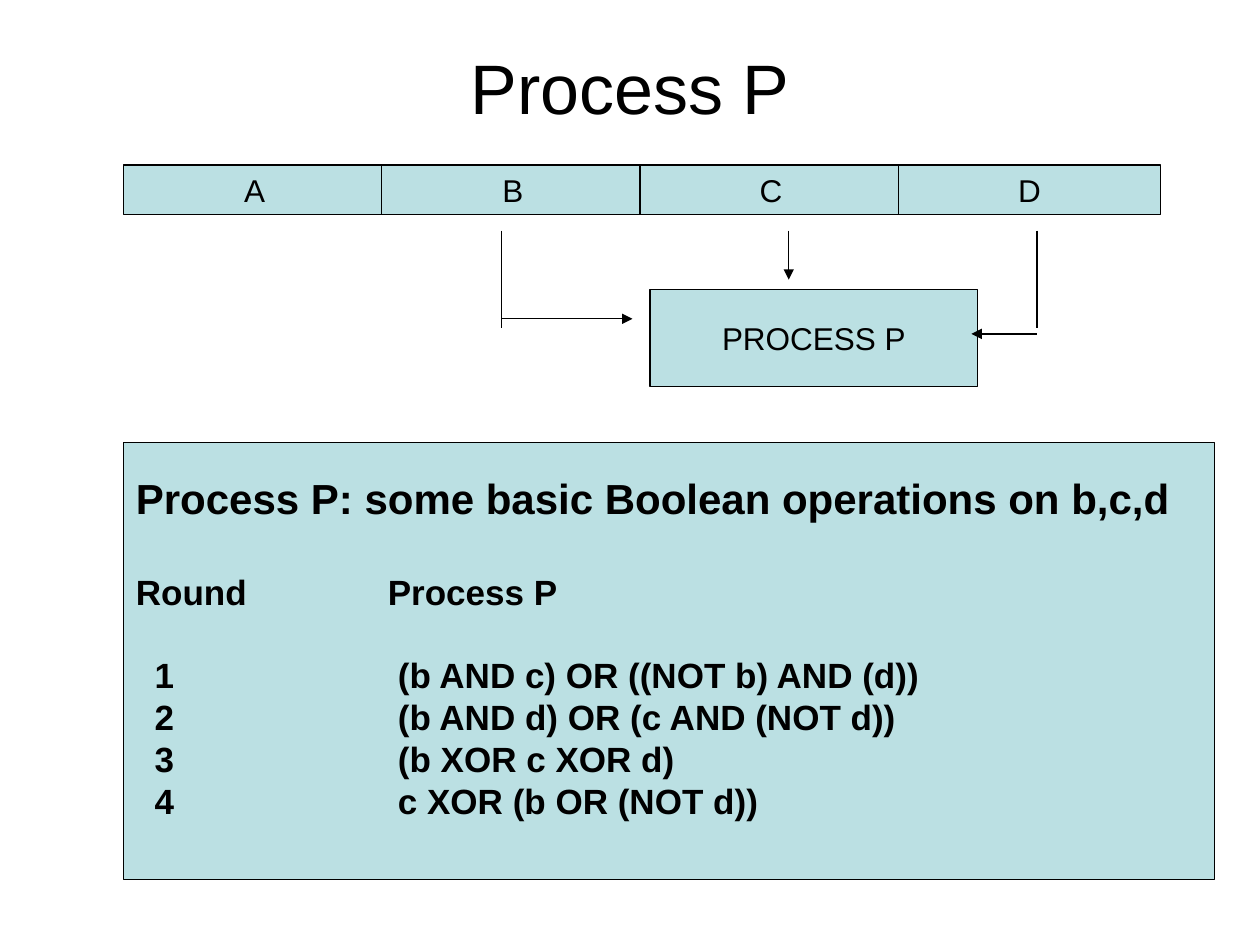
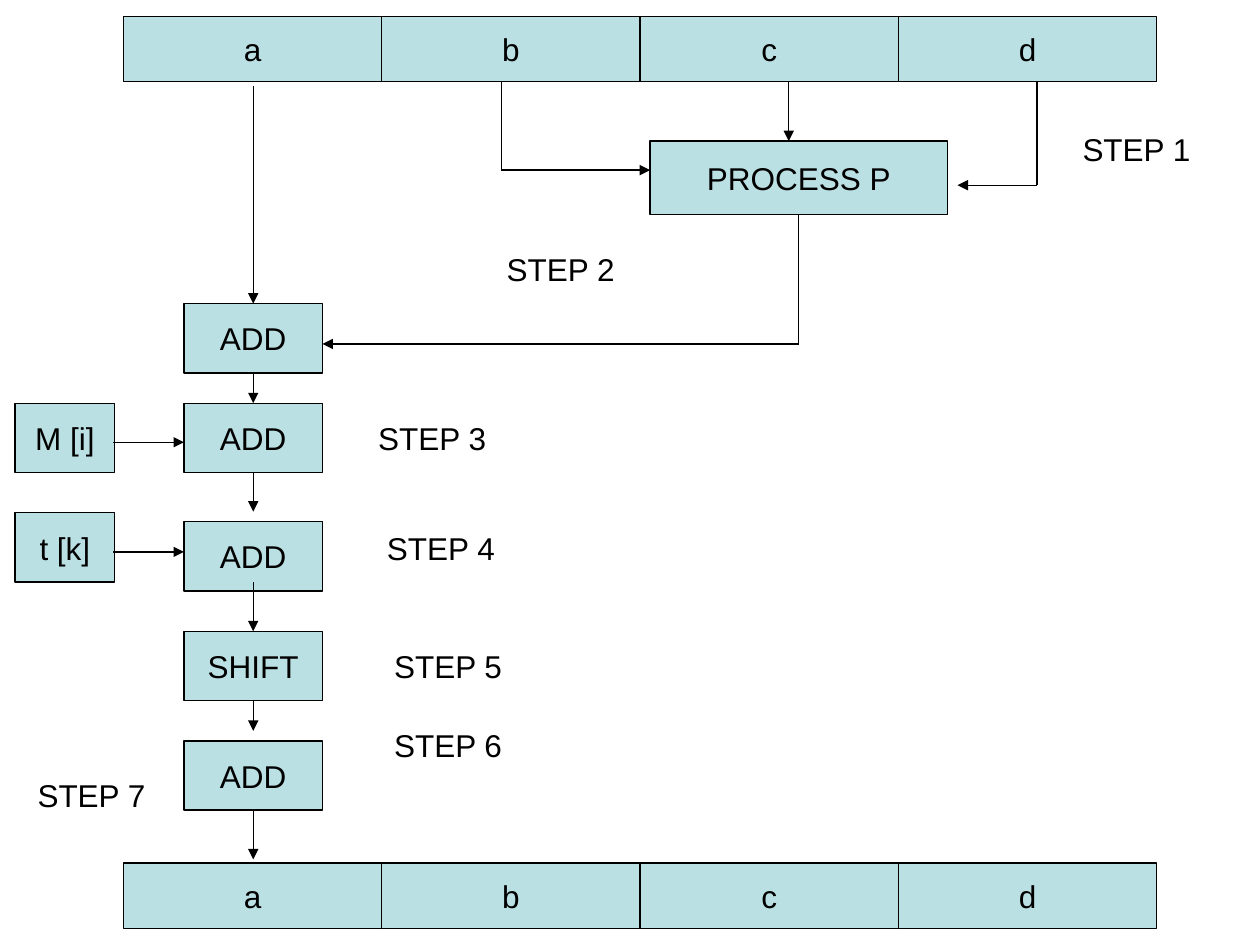
from lxml.etree import SubElement
from pptx import Presentation
from pptx.dml.color import RGBColor
from pptx.enum.shapes import MSO_CONNECTOR, MSO_SHAPE
from pptx.enum.text import MSO_ANCHOR, PP_ALIGN
from pptx.oxml.ns import qn
from pptx.util import Inches, Pt

COLORS = {"fill": "BBE0E3", "ink": "000000"}
FONT = "Arial"
PITCH = 2.05
STEP = (1.26, 0.55)


def color(name):
    return RGBColor.from_string(COLORS[name])


def style(para, size=18, bold=False, align=PP_ALIGN.CENTER):
    para.alignment = align
    font = para.font
    font.name, font.size, font.bold = FONT, Pt(size), bold
    font.color.rgb = color("ink")


def block(slide, box, text=""):
    """Draw a filled, outlined rectangle with centred text."""
    shape = slide.shapes.add_shape(MSO_SHAPE.RECTANGLE, *map(Inches, box))
    shape.shadow.inherit = False
    shape.fill.solid()
    shape.fill.fore_color.rgb = color("fill")
    shape.line.color.rgb = color("ink")
    shape.line.width = Pt(0.75)
    frame = shape.text_frame
    frame.word_wrap = True
    frame.vertical_anchor = MSO_ANCHOR.MIDDLE
    if text:
        frame.text = text
        style(frame.paragraphs[0])
    return frame


def label(slide, left, top, text, align=PP_ALIGN.CENTER):
    shape = slide.shapes.add_textbox(*map(Inches, (left, top, *STEP)))
    frame = shape.text_frame
    frame.word_wrap = True
    frame.vertical_anchor = MSO_ANCHOR.MIDDLE
    frame.text = text
    style(frame.paragraphs[0], align=align)


def wire(slide, start, end, arrow=True):
    link = slide.shapes.add_connector(
        MSO_CONNECTOR.STRAIGHT, *map(Inches, (*start, *end)))
    link.line.color.rgb = color("ink")
    link.line.width = Pt(0.75)
    if arrow:
        tail = SubElement(link.line._get_or_add_ln(), qn("a:tailEnd"))
        tail.set("type", "triangle")
    SubElement(link._element.spPr, qn("a:effectLst"))


def row(slide, box, names):
    """Draw adjoining register cells; box is that of the first cell."""
    left, top, width, height = box
    for i, name in enumerate(names):
        block(slide, (left + i * PITCH, top, width, height), name)


def process(slide, box, start, left_in, mid_tip, right_in):
    """Draw the process box with its three inputs.

    start and mid_tip are offsets from the top of the box. Each side input is
    (stem end, turn, gap): two offsets from its top, and the space from the
    arrow tip to its side.
    """
    x, y, width, height = box
    block(slide, box, "PROCESS P")
    sides = ((x - 1.18, x, -1, left_in), (8.23, x + width, 1, right_in))
    for stem, edge, sign, (end, turn, gap) in sides:
        wire(slide, (stem, y + start), (stem, y + end), arrow=False)
        wire(slide, (stem, y + turn), (edge + sign * gap, y + turn))
    wire(slide, (x + 1.1, y + start), (x + 1.1, y + mid_tip))


def tabs(para, *stops):
    props = para._p.get_or_add_pPr()
    items = SubElement(props, qn("a:tabLst"))
    for stop in stops:
        SubElement(items, qn("a:tab"), pos=str(Inches(stop)), algn="l")


def rounds(slide, box):
    """Draw the panel that lists the operation of each round."""
    frame = block(slide, box)
    frame.vertical_anchor = MSO_ANCHOR.TOP
    frame.margin_top = Inches(0.24)
    ops = ("(b AND c) OR ((NOT b) AND (d))", "(b AND d) OR (c AND (NOT d))",
           "(b XOR c XOR d)", "c XOR (b OR (NOT d))")
    # Each line is text, size, space before, tab stops
    lines = [("Process P: some basic Boolean operations on b,c,d", 24, 0, ()),
             ("Round\tProcess P", 20, 27.5, (2,))]
    lines += [(f"\t{n}\t{op}", 20, 23 if n == 1 else 0, (0.15, 2.08))
              for n, op in enumerate(ops, 1)]
    for i, (text, size, space, stops) in enumerate(lines):
        para = frame.add_paragraph() if i else frame.paragraphs[0]
        para.text = text
        if stops:
            tabs(para, *stops)
        if space:
            para.space_before = Pt(space)
        style(para, size, True, PP_ALIGN.LEFT)


def chain(slide, left, top):
    """Draw the column of operations and the two words fed into it."""
    width, height = 1.1, 0.55
    mid = left + width / 2
    ops = (("ADD", 0), ("ADD", 0.79), ("ADD", 1.73),
           ("SHIFT", 2.6), ("ADD", 3.47))
    for name, drop in ops:
        block(slide, (left, top + drop, width, height), name)
    for name, drop in (("M [i]", 0.79), ("t [k]", 1.66)):
        y = top + drop
        block(slide, (left - 1.34, y, 0.79, height), name)
        wire(slide, (left - 0.56, y + 0.31), (left, y + 0.31))
    links = ((-1.73, 0), (0.55, 0.79), (1.34, 1.65), (2.21, 2.6),
             (3.15, 3.39), (4.02, 4.41))
    for start, end in links:
        wire(slide, (mid, top + start), (mid, top + end))


def steps(slide):
    spots = ((8.39, 0.91), (3.82, 1.86), (2.8, 3.2), (2.87, 4.07),
             (3.03, 5.01), (3.03, 5.64), (0.2, 6.03))
    for n, (left, top) in enumerate(spots, 1):
        align = PP_ALIGN.CENTER if n < 5 else PP_ALIGN.LEFT
        label(slide, left, top, f"STEP {n}", align)


def title(slide, box, text):
    shape = slide.shapes.title
    shape.left, shape.top, shape.width, shape.height = map(Inches, box)
    frame = shape.text_frame
    frame.text = text
    frame.vertical_anchor = MSO_ANCHOR.MIDDLE
    style(frame.paragraphs[0], 40)


def summary(deck):
    slide = deck.slides.add_slide(deck.slide_layouts[5])
    title(slide, (0.5, 0.3, 9, 0.77), "Process P")
    row(slide, (0.98, 1.31, 2.08, 0.39), "ABCD")
    process(slide, (5.16, 2.3, 2.6, 0.77), -0.47,
            (0.3, 0.23, 0.14), -0.08, (0.3, 0.35, -0.05))
    rounds(slide, (0.98, 3.51, 8.66, 3.47))


def flow(deck):
    slide = deck.slides.add_slide(deck.slide_layouts[6])
    for top in (0.13, 6.85):
        row(slide, (0.98, top, PITCH, 0.52), "abcd")
    process(slide, (5.16, 1.12, 2.36, 0.58), -0.47,
            (0.23, 0.23, 0), 0, (0.35, 0.35, 0.08))
    chain(slide, 1.46, 2.41)
    wire(slide, (6.34, 1.7), (6.34, 2.73), arrow=False)
    wire(slide, (6.34, 2.73), (2.56, 2.73))
    steps(slide)


def main():
    deck = Presentation()
    deck.slide_width, deck.slide_height = Inches(10), Inches(7.5)
    summary(deck)
    flow(deck)
    deck.save("out.pptx")


if __name__ == "__main__":
    main()
